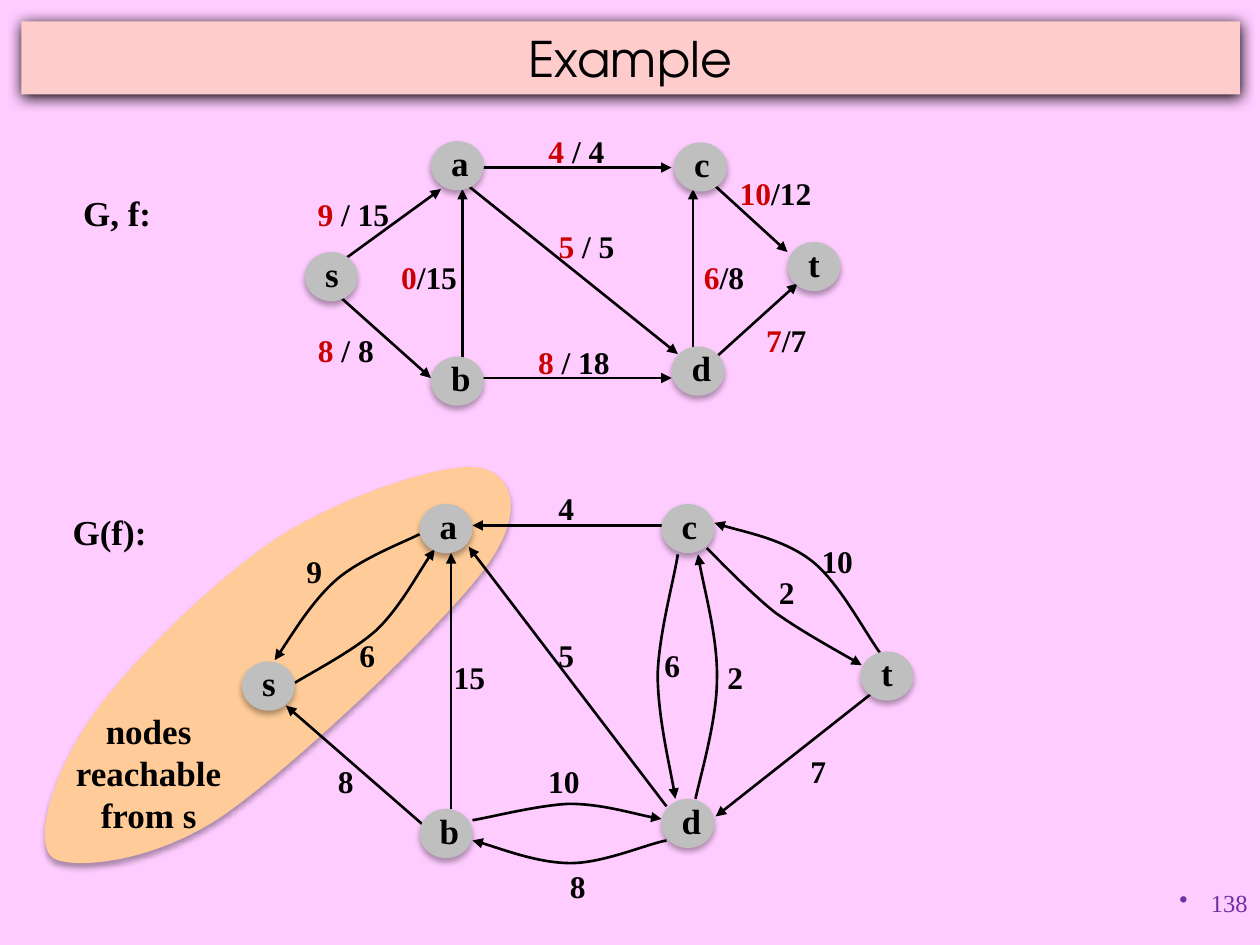
from dataclasses import dataclass

import pptx
import pptx.dml.color
import pptx.enum.shapes
import pptx.enum.text
import pptx.oxml
import pptx.oxml.ns
import pptx.util
from lxml import etree

Inches = pptx.util.Inches
qn = pptx.oxml.ns.qn
Point = tuple[float, float]


@dataclass(frozen=True)
class Theme:
    background: str = "FFCCFF"
    banner: str = "FFCCCC"
    region: str = "FFCC99"
    node: str = "BFBFBF"
    ink: str = "000000"
    flow: str = "CC0000"
    number: str = "7030A0"
    title_font: str = "TeX Gyre Adventor"
    body_font: str = "Times New Roman"
    title_size: int = 28
    node_size: int = 20
    label_size: int = 18
    number_size: int = 14
    line_width: float = 1.5


@dataclass(frozen=True)
class Node:
    name: str
    left: float
    top: float


@dataclass(frozen=True)
class Label:
    left: float
    top: float
    width: float
    text: str
    flow: str = ""


@dataclass(frozen=True)
class Graph:
    caption: Label
    edges: list[list[Point]]  # two points: straight; seven: Bezier
    nodes: list[Node]
    labels: list[Label]


THEME = Theme()

FLOW_NETWORK = Graph(
    caption=Label(0.56, 1.47, 0.74, "G, f:"),
    edges=[
        [(5.5, 2.92), (5.5, 1.5)],
        [(3.67, 3), (3.67, 1.5)],
        [(2.58, 2.17), (3.5, 1.5)],
        [(3.83, 1.33), (5.33, 1.33)],
        [(2.58, 2.25), (3.42, 3)],
        [(3.83, 3), (5.33, 3)],
        [(3.71, 1.47), (5.38, 2.81)],
        [(5.56, 1.37), (6.25, 2)],
        [(5.5, 3), (6.33, 2.25)],
    ],
    nodes=[Node("b", 3.42, 2.83), Node("s", 2.42, 2), Node("a", 3.42, 1.12),
           Node("d", 5.33, 2.75), Node("c", 5.35, 1.13), Node("t", 6.25, 1.92)],
    labels=[
        Label(2.42, 1.5, 0.77, " / 15", "9"),
        Label(4.25, 1, 0.65, "/ 4", "4 "),
        Label(2.42, 2.58, 0.65, " / 8", "8"),
        Label(3.08, 2, 0.65, "/15", "0"),
        Label(4.33, 1.75, 0.65, "/ 5", "5 "),
        Label(5.42, 2, 0.65, "/8", "6"),
        Label(5.98, 2.5, 0.52, "/7", "7"),
        Label(5.77, 1.33, 0.77, "/12", "10"),
        Label(4.17, 2.67, 0.77, " / 18", "8"),
    ],
)

RESIDUAL_NETWORK = Graph(
    caption=Label(0.45, 4, 0.84, "G(f):"),
    edges=[
        [(6.99, 5.19), (6.87, 5.03), (6.66, 4.62), (6.44, 4.45),
         (6.22, 4.28), (5.8, 4.2), (5.67, 4.15)],
        [(5.38, 4.4), (5.35, 4.6), (5.23, 5.03), (5.22, 5.35),
         (5.22, 5.68), (5.34, 6.18), (5.36, 6.34)],
        [(5.52, 6.34), (5.55, 6.19), (5.69, 5.72), (5.69, 5.4),
         (5.7, 5.08), (5.57, 4.61), (5.54, 4.4)],
        [(3.58, 6.42), (3.58, 4.39)],
        [(2.34, 5.42), (2.45, 5.35), (2.82, 5.16), (3, 4.99),
         (3.18, 4.81), (3.35, 4.49), (3.45, 4.36)],
        [(5.25, 4.17), (3.75, 4.17)],
        [(3.35, 6.54), (2.27, 5.6)],
        [(3.75, 6.51), (3.88, 6.49), (4.27, 6.39), (4.52, 6.38),
         (4.77, 6.38), (5.1, 6.48), (5.25, 6.5)],
        [(5.29, 6.4), (3.72, 4.34)],
        [(5.61, 4.35), (5.7, 4.44), (5.95, 4.7), (6.15, 4.86),
         (6.36, 5.01), (6.69, 5.19), (6.84, 5.28)],
        [(6.91, 5.51), (5.68, 6.48)],
        [(5.29, 6.67), (5.13, 6.7), (4.79, 6.85), (4.53, 6.85),
         (4.27, 6.85), (3.88, 6.7), (3.75, 6.67)],
        [(3.33, 4.24), (3.19, 4.31), (2.85, 4.44), (2.66, 4.61),
         (2.47, 4.78), (2.26, 5.13), (2.18, 5.24)],
    ],
    nodes=[Node("b", 3.33, 6.42), Node("s", 1.92, 5.25), Node("a", 3.33, 4),
           Node("d", 5.25, 6.34), Node("c", 5.25, 4), Node("t", 6.83, 5.17)],
    labels=[
        Label(2.75, 5, 0.33, "6"), Label(4.33, 3.83, 0.33, "4"),
        Label(2.58, 6, 0.33, "8"), Label(3.5, 5.17, 0.45, "15"),
        Label(4.33, 5, 0.33, "5"), Label(5.67, 5.17, 0.33, "2"),
        Label(6.33, 5.92, 0.33, "7"), Label(6.08, 4.5, 0.33, "2"),
        Label(4.25, 6, 0.45, "10"), Label(5.17, 5.08, 0.33, "6"),
        Label(6.42, 4.25, 0.45, "10"), Label(4.42, 6.83, 0.33, "8"),
        Label(2.33, 4.33, 0.33, "9"),
    ],
)

REACHABLE_REGION = [
    (0.42, 6.81), (0.25, 6.67), (0.44, 6.09), (0.75, 5.66), (1.05, 5.24),
    (1.72, 4.58), (2.23, 4.25), (2.74, 3.93), (3.52, 3.67), (3.79, 3.71),
    (4.06, 3.75), (4.19, 4.05), (3.85, 4.51), (3.51, 4.97), (2.33, 6.09),
    (1.76, 6.48), (1.19, 6.86), (0.57, 6.9), (0.42, 6.81),
]


def rgb(value: str) -> pptx.dml.color.RGBColor:
    return pptx.dml.color.RGBColor.from_string(value)


def add_span(para, text: str, size: float, color: str = THEME.ink,
             font: str = THEME.body_font, bold: bool = True) -> None:
    span = para.add_run()
    span.text = text
    span.font.size = pptx.util.Pt(size)
    span.font.name = font
    span.font.bold = bold
    span.font.color.rgb = rgb(color)


def set_frame(frame, wrap: bool = False) -> None:
    frame.word_wrap = wrap
    frame.margin_left = frame.margin_right = Inches(0.1)
    frame.margin_top, frame.margin_bottom = Inches(0.05), Inches(0.01)


def paint(shape, color: str, blur: float = 3.5, distance: float = 2.2, opacity: int = 32) -> None:
    """Give a shape a plain fill, no outline and a soft shadow below."""
    shape.fill.solid()
    shape.fill.fore_color.rgb = rgb(color)
    shape.line.fill.background()
    shape.shadow.inherit = False
    effects = shape._element.spPr.find(qn("a:effectLst"))
    shadow = etree.SubElement(effects, qn("a:outerShdw"), blurRad=str(pptx.util.Pt(blur)),
                              dist=str(pptx.util.Pt(distance)), dir="5400000", rotWithShape="0")
    shade = etree.SubElement(shadow, qn("a:srgbClr"), val=THEME.ink)
    etree.SubElement(shade, qn("a:alpha"), val=str(opacity * 1000))


def add_curve(slide, points: list[Point], close: bool = False):
    """Build a freeform whose points are Bezier knots and handles."""
    spots = [(Inches(x), Inches(y)) for x, y in points]
    builder = slide.shapes.build_freeform(*spots[0])
    builder.add_line_segments(spots[1:], close=close)
    shape = builder.convert_to_shape()
    segments = list(shape._element.iter(qn("a:lnTo")))
    for start in range(0, len(points) - 1, 3):
        cubic = pptx.oxml.parse_xml(f'<a:cubicBezTo {pptx.oxml.ns.nsdecls("a")}/>')
        segments[start].addprevious(cubic)
        for segment in segments[start:start + 3]:
            cubic.append(segment[0])
            segment.getparent().remove(segment)
    return shape


def add_edge(slide, points: list[Point]) -> None:
    if len(points) == 2:
        ends = [Inches(value) for point in points for value in point]
        edge = slide.shapes.add_connector(pptx.enum.shapes.MSO_CONNECTOR.STRAIGHT, *ends)
    else:
        edge = add_curve(slide, points)
        edge.fill.background()
    edge.line.color.rgb = rgb(THEME.ink)
    edge.line.width = pptx.util.Pt(THEME.line_width)
    etree.SubElement(edge.line._get_or_add_ln(), qn("a:tailEnd"), type="triangle")
    etree.SubElement(edge._element.spPr, qn("a:effectLst"))


def add_node(slide, node: Node) -> None:
    circle = slide.shapes.add_shape(pptx.enum.shapes.MSO_SHAPE.OVAL, Inches(node.left),
                                    Inches(node.top), Inches(0.42), Inches(0.39))
    paint(circle, THEME.node)
    set_frame(circle.text_frame, wrap=True)
    circle.text_frame.vertical_anchor = pptx.enum.text.MSO_ANCHOR.MIDDLE
    para = circle.text_frame.paragraphs[0]
    para.alignment = pptx.enum.text.PP_ALIGN.CENTER
    para.line_spacing = 0.65
    add_span(para, node.name, THEME.node_size)


def add_label(slide, label: Label, size: int = THEME.label_size) -> None:
    lines = label.text.split("\n")
    box = slide.shapes.add_textbox(Inches(label.left), Inches(label.top), Inches(label.width),
                                   Inches(0.06 + len(lines) * size / 60))
    set_frame(box.text_frame)
    box.text_frame.auto_size = pptx.enum.text.MSO_AUTO_SIZE.SHAPE_TO_FIT_TEXT
    for index, line in enumerate(lines):
        para = box.text_frame.add_paragraph() if index else box.text_frame.paragraphs[0]
        para.alignment = pptx.enum.text.PP_ALIGN.CENTER
        if label.flow:
            add_span(para, label.flow, size, THEME.flow)
        add_span(para, line, size)


def add_graph(slide, graph: Graph) -> None:
    for edge in graph.edges:
        add_edge(slide, edge)
    for node in graph.nodes:
        add_node(slide, node)
    for label in graph.labels:
        add_label(slide, label)
    add_label(slide, graph.caption, THEME.node_size)


def add_title(slide, text: str) -> None:
    title = slide.shapes.title
    title.left, title.top = Inches(0.17), Inches(0.17)
    title.width, title.height = Inches(9.67), Inches(0.58)
    paint(title, THEME.banner, blur=8.5, distance=1, opacity=100)
    title.text_frame.vertical_anchor = pptx.enum.text.MSO_ANCHOR.MIDDLE
    para = title.text_frame.paragraphs[0]
    para.alignment = pptx.enum.text.PP_ALIGN.CENTER
    add_span(para, text, THEME.title_size, font=THEME.title_font, bold=False)


def add_page_number(slide, text: str) -> None:
    box = slide.shapes.add_textbox(Inches(7.92), Inches(7), Inches(2.08), Inches(0.5))
    box.text_frame.word_wrap = True
    para = box.text_frame.paragraphs[0]
    para.alignment = pptx.enum.text.PP_ALIGN.RIGHT
    properties = para._p.get_or_add_pPr()
    properties.set("marL", str(Inches(0.25)))
    properties.set("indent", str(-Inches(0.25)))
    etree.SubElement(properties, qn("a:buChar"), char="•")
    add_span(para, text, THEME.number_size, THEME.number, bold=False)


def main() -> None:
    deck = pptx.Presentation()
    deck.slide_width, deck.slide_height = Inches(10), Inches(7.5)
    page = deck.slides.add_slide(deck.slide_layouts[5])
    page.background.fill.solid()
    page.background.fill.fore_color.rgb = rgb(THEME.background)
    add_title(page, "Example")

    # Nodes reachable from the source
    paint(add_curve(page, REACHABLE_REGION, close=True), THEME.region)
    add_label(page, Label(0.5, 5.58, 1.36, "nodes\nreachable\nfrom s"), THEME.node_size)

    # Flow network above, residual network below
    for graph in (FLOW_NETWORK, RESIDUAL_NETWORK):
        add_graph(page, graph)
    add_page_number(page, "138")
    deck.save("out.pptx")


if __name__ == "__main__":
    main()
